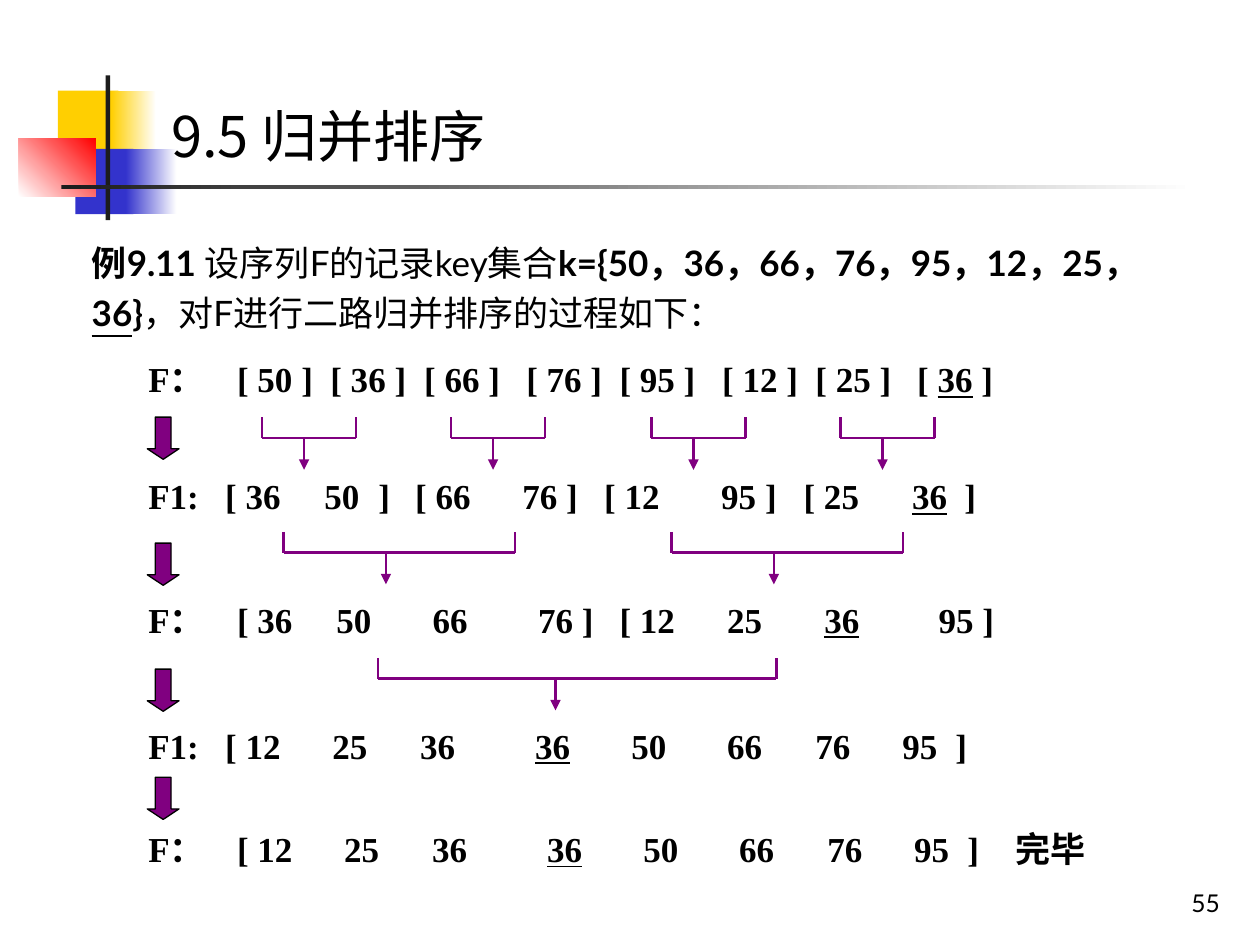
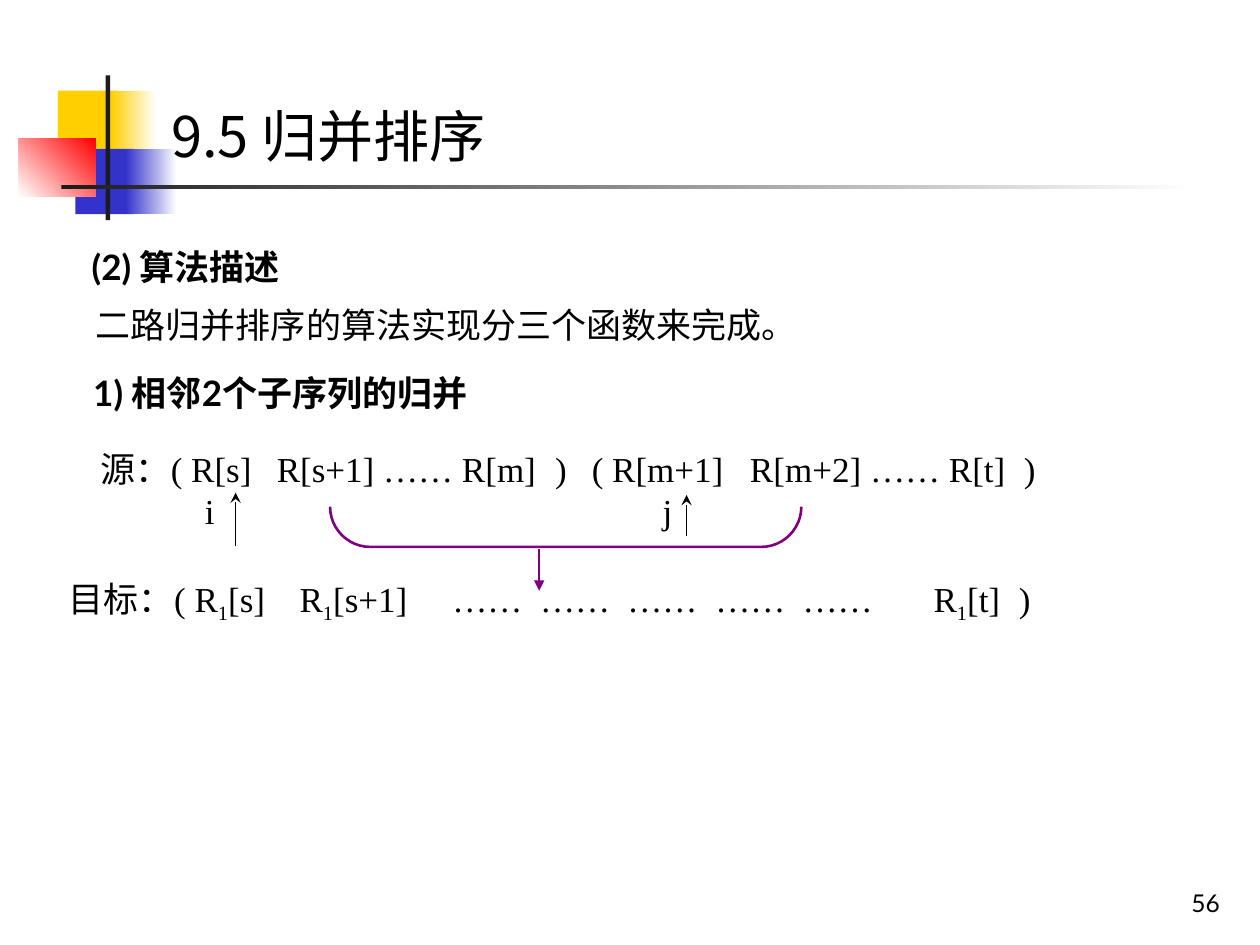
"""Build two slides on two-way merge sort."""
from dataclasses import dataclass
from itertools import pairwise

from pptx import Presentation
from pptx.dml.color import RGBColor
from pptx.enum.shapes import MSO_CONNECTOR, MSO_SHAPE
from pptx.enum.text import MSO_ANCHOR, PP_ALIGN
from pptx.oxml.ns import qn
from pptx.shapes.autoshape import Shape
from pptx.slide import Slide
from pptx.util import Cm, Pt
from lxml import etree

STRAIGHT = MSO_CONNECTOR.STRAIGHT
RECTANGLE = MSO_SHAPE.RECTANGLE
DOWN_ARROW = MSO_SHAPE.DOWN_ARROW
LEFT_BRACKET = MSO_SHAPE.LEFT_BRACKET
ANCHOR_TOP, ANCHOR_BOTTOM = MSO_ANCHOR.TOP, MSO_ANCHOR.BOTTOM
ALIGN_LEFT, ALIGN_RIGHT = PP_ALIGN.LEFT, PP_ALIGN.RIGHT

BLACK = RGBColor(0x00, 0x00, 0x00)
WHITE = RGBColor(0xFF, 0xFF, 0xFF)
CHARCOAL = RGBColor(0x1C, 0x1C, 0x1C)
YELLOW = RGBColor(0xFF, 0xCF, 0x01)
BLUE = RGBColor(0x33, 0x33, 0xCC)
RED = RGBColor(0xFF, 0x00, 0x00)
PURPLE = RGBColor(0x80, 0x00, 0x80)

LATO = "Lato"
TIMES = "Times New Roman"
CHINESE = "Noto Sans CJK JP"
TITLE = "9.5 归并排序"


@dataclass(frozen=True)
class Band:
    """Rectangle of the title ornament, in centimetres."""
    left: float
    top: float
    width: float
    height: float
    start: RGBColor
    end: RGBColor | None = None
    angle: float = 0


@dataclass(frozen=True)
class Piece:
    """Run of text with its own emphasis."""
    text: str
    bold: bool = False
    underline: bool = False
    baseline: int = 0


@dataclass(frozen=True)
class Line:
    """Paragraph made of pieces, with tab stops in centimetres."""
    pieces: tuple[Piece, ...]
    tabs: tuple[float, ...] = ()


@dataclass(frozen=True)
class Box:
    """Text box, in centimetres and points."""
    left: float
    top: float
    width: float
    height: float
    lines: tuple[Line, ...]
    font: str = LATO
    size: float = 20
    spacing: float = 1.0
    align: PP_ALIGN = ALIGN_LEFT
    anchor: MSO_ANCHOR = ANCHOR_TOP


@dataclass(frozen=True)
class MergeLevel:
    """Row of equal merge brackets, in centimetres."""
    top: float
    lefts: tuple[float, ...]
    width: float
    stem: float


ORNAMENT = (
    Band(1.17, 1.83, 1.22, 1.32, YELLOW),
    Band(2.24, 1.83, 0.91, 1.32, YELLOW, WHITE),
    Band(1.52, 3.0, 1.17, 1.32, BLUE),
    Band(2.54, 3.0, 1.02, 1.32, BLUE, WHITE),
    Band(0.38, 2.79, 1.55, 1.17, WHITE, RED, 45),
    Band(2.13, 1.52, 0.09, 2.92, CHARCOAL),
    Band(1.24, 3.73, 22.86, 0.08, CHARCOAL, WHITE),
)

MERGE_LEVELS = (
    MergeLevel(8.41, (5.28, 9.09, 13.13, 16.94), 1.9, 0.85),
    MergeLevel(10.72, (5.72, 13.54), 4.66, 2.06),
    MergeLevel(13.26, (7.62,), 8.03, 3.58),
)
BRACKET_DROP, STEM_LENGTH = 0.42, 0.64
STEP_ARROW_TOPS = (8.41, 10.95, 13.49, 15.67)

SORTED_TABS = (1.55, 3.71, 5.48, 7.8, 9.74, 11.67, 13.45, 15.2, 16.27)
FINAL_TABS = tuple(round(tab + 0.24, 2) for tab in SORTED_TABS) + (17.48,)


def key_line(before: str, after: str, tabs: tuple[float, ...]) -> Line:
    """Return a bold record row around the underlined second 36."""
    return Line((Piece(before, True), Piece("36", True, True), Piece(after, True)), tabs)


SORT_ROWS = (
    (7.09, key_line("F：\t[ 50 ]\t[ 36 ]\t[ 66 ]\t[ 76 ]\t[ 95 ]\t[ 12 ]\t[ 25 ]\t[ ", " ]",
                    (1.79, 3.67, 5.56, 7.62, 9.5, 11.57, 13.45, 15.5))),
    (9.45, key_line("F1:\t[ 36\t50\t]\t[ 66\t76 ]\t[ 12\t95 ]\t[ 25\t", "\t]",
                    (1.55, 3.55, 4.64, 5.38, 7.54, 9.19, 11.55, 13.21, 15.4, 16.45))),
    (11.94, key_line("F：\t[ 36\t50\t66\t76 ]\t[ 12\t25\t", "\t95 ]",
                     (1.79, 3.79, 5.73, 7.86, 9.5, 11.67, 13.63, 15.93))),
    (14.48, key_line("F1:\t[ 12\t25\t36\t", "\t50\t66\t76\t95\t]", SORTED_TABS)),
    (16.56, key_line("F：\t[ 12\t25\t36\t", "\t50\t66\t76\t95\t]\t完毕", FINAL_TABS)),
)

EXAMPLE = Box(1.6, 4.57, 23.11, 2.29, (Line((
    Piece("例9.11 ", True),
    Piece("设序列F的记录key集合"),
    Piece("k={50，36，66，76，95，12，25，", True),
    Piece("36", True, True),
    Piece("}", True),
    Piece("，对F进行二路归并排序的过程如下："),
)),), spacing=1.2)

SUBSCRIPT = Piece("1", baseline=-25000)
DOT_TABS = tuple(round(7.73 + 1.765 * index, 2) for index in range(5))
ALGORITHM_BOXES = (
    Box(1.6, 4.65, 22.73, 1.4, (Line((Piece("(2) 算法描述", True),)),), spacing=1.2),
    Box(1.68, 5.99, 23.11, 1.12, (Line((Piece("二路归并排序的算法实现分三个函数来完成。"),)),)),
    Box(1.63, 7.19, 22.73, 1.4, (Line((Piece("1) 相邻2个子序列的归并", True),)),), spacing=1.2),
    Box(1.78, 8.89, 20.52, 2.21, (
        Line((Piece("源：( R[s]\tR[s+1] …… R[m]\t)\t( R[m+1]\tR[m+2] …… R[t]\t)"),),
             (3.55, 9.16, 9.9, 13.09, 18.61)),
        Line((Piece("\ti\tj"),), (2.1, 11.33)),
    ), TIMES),
    Box(1.14, 11.51, 20.52, 1.32, (Line((
        Piece("目标：( R"), SUBSCRIPT,
        Piece("[s]\tR"), SUBSCRIPT,
        Piece("[s+1]" + "\t……" * len(DOT_TABS) + "\tR"), SUBSCRIPT,
        Piece("[t]\t)"),
    ), (4.65, *DOT_TABS, 17.43, 19.15)),), TIMES),
)


def add_band(slide: Slide, band: Band) -> None:
    """Draw one plain or fading rectangle."""
    shape = slide.shapes.add_shape(
        RECTANGLE, Cm(band.left), Cm(band.top), Cm(band.width), Cm(band.height))
    shape.shadow.inherit = False
    shape.line.fill.background()
    if band.end is None:
        shape.fill.solid()
        shape.fill.fore_color.rgb = band.start
        return
    shape.fill.gradient()
    shape.fill.gradient_angle = band.angle
    for stop, color in zip(shape.fill.gradient_stops, (band.start, band.end)):
        stop.color.rgb = color


def add_box(slide: Slide, box: Box) -> Shape:
    """Write a text box with its paragraphs, tabs and runs."""
    shape = slide.shapes.add_textbox(
        Cm(box.left), Cm(box.top), Cm(box.width), Cm(box.height))
    text_frame = shape.text_frame
    text_frame.word_wrap = True
    text_frame.vertical_anchor = box.anchor
    for index, line in enumerate(box.lines):
        paragraph = text_frame.add_paragraph() if index else text_frame.paragraphs[0]
        if line.tabs:
            properties = paragraph._p.get_or_add_pPr()
            tab_list = etree.SubElement(properties, qn("a:tabLst"))
            for tab in line.tabs:
                etree.SubElement(tab_list, qn("a:tab"), pos=str(Cm(tab)), algn="l")
        paragraph.alignment = box.align
        paragraph.line_spacing = box.spacing
        for piece in line.pieces:
            run = paragraph.add_run()
            run.text = piece.text
            font = run.font
            font.name = box.font
            font.size = Pt(box.size)
            font.bold = piece.bold
            font.underline = piece.underline
            font.color.rgb = BLACK
            run_properties = run._r.get_or_add_rPr()
            etree.SubElement(run_properties, qn("a:ea"), typeface=CHINESE)
            if piece.baseline:
                run_properties.set("baseline", str(piece.baseline))
    return shape


def add_line(slide: Slide, start: tuple[float, float], end: tuple[float, float],
             color: RGBColor = PURPLE, width: float = 1.5, head: str = "") -> None:
    """Draw a straight line, with an arrowhead at its end if one is named."""
    connector = slide.shapes.add_connector(
        STRAIGHT, Cm(start[0]), Cm(start[1]), Cm(end[0]), Cm(end[1]))
    connector.line.color.rgb = color
    connector.line.width = Pt(width)
    if head:
        etree.SubElement(connector.line._get_or_add_ln(), qn("a:tailEnd"), type=head)
    etree.SubElement(connector._element.spPr, qn("a:effectLst"))


def add_merge_level(slide: Slide, level: MergeLevel) -> None:
    """Draw the brackets of one merge pass with their arrows."""
    bar = level.top + BRACKET_DROP
    for left in level.lefts:
        right, stem = left + level.width, left + level.stem
        corners = ((left, level.top), (left, bar), (right, bar), (right, level.top))
        for start, end in pairwise(corners):
            add_line(slide, start, end)
        add_line(slide, (stem, bar), (stem, bar + STEM_LENGTH), head="triangle")


def add_step_arrow(slide: Slide, top: float) -> None:
    """Draw the block arrow that leads to the next row."""
    shape = slide.shapes.add_shape(DOWN_ARROW, Cm(2.97), Cm(top), Cm(0.64), Cm(0.85))
    shape.shadow.inherit = False
    shape.adjustments[0] = 0.5
    shape.adjustments[1] = 0.33
    shape.fill.solid()
    shape.fill.fore_color.rgb = PURPLE
    shape.line.color.rgb = BLACK
    shape.line.width = Pt(0.75)


def add_base_slide(presentation: Presentation, number: int) -> Slide:
    """Add a blank slide with ornament, title and page number."""
    slide = presentation.slides.add_slide(presentation.slide_layouts[6])
    for band in ORNAMENT:
        add_band(slide, band)
    add_box(slide, Box(3.2, 1.93, 22.2, 1.63, (Line((Piece(TITLE),)),), CHINESE, 32))
    add_box(slide, Box(19.56, 17.35, 5.28, 1.27, (Line((Piece(str(number)),)),),
                       size=14, align=ALIGN_RIGHT, anchor=ANCHOR_BOTTOM))
    return slide


def build_example_slide(presentation: Presentation) -> None:
    """Show the merge passes over eight keys."""
    slide = add_base_slide(presentation, 55)
    add_box(slide, EXAMPLE)
    for top, line in SORT_ROWS:
        add_box(slide, Box(2.74, top, 21.03, 1.12, (line,), TIMES))
    for level in MERGE_LEVELS:
        add_merge_level(slide, level)
    for top in STEP_ARROW_TOPS:
        add_step_arrow(slide, top)


def build_algorithm_slide(presentation: Presentation) -> None:
    """Show how two neighbouring runs merge into one."""
    slide = add_base_slide(presentation, 56)
    for box in ALGORITHM_BOXES:
        add_box(slide, box)
    bracket = slide.shapes.add_shape(LEFT_BRACKET, Cm(11.0), Cm(5.87), Cm(0.81), Cm(9.5))
    bracket.shadow.inherit = False
    bracket.rotation = 270
    bracket.adjustments[0] = 1.0
    bracket.fill.background()
    bracket.line.color.rgb = PURPLE
    bracket.line.width = Pt(1.5)
    add_line(slide, (10.87, 11.07), (10.87, 11.91), head="triangle")
    for left, top, bottom in ((4.75, 9.93, 11.0), (13.84, 9.98, 10.8)):
        add_line(slide, (left, bottom), (left, top), BLACK, 0.75, "stealth")


def main() -> None:
    """Build and save the presentation."""
    presentation = Presentation()
    presentation.slide_width = Cm(25.4)
    presentation.slide_height = Cm(19.05)
    build_example_slide(presentation)
    build_algorithm_slide(presentation)
    presentation.save("out.pptx")


if __name__ == "__main__":
    main()
